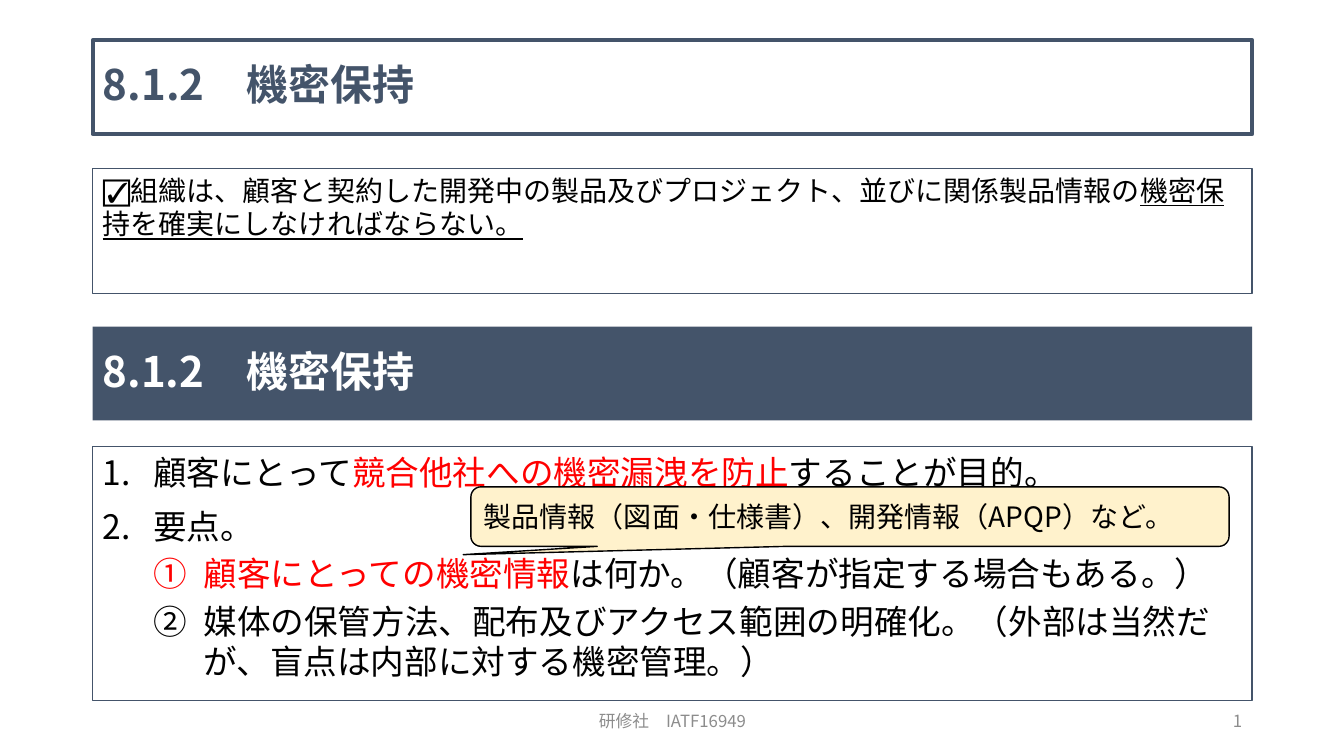
from dataclasses import dataclass
from typing import Optional

import pptx
import pptx.dml.color
import pptx.enum.shapes
import pptx.enum.text
import pptx.oxml
import pptx.oxml.ns
import pptx.util

Inches = pptx.util.Inches
Pt = pptx.util.Pt
Align = pptx.enum.text.PP_ALIGN
Anchor = pptx.enum.text.MSO_ANCHOR
Preset = pptx.enum.shapes.MSO_SHAPE


@dataclass(frozen=True)
class Theme:
    font: str = "Noto Sans CJK JP"
    navy: str = "44546A"
    white: str = "FFFFFF"
    black: str = "000000"
    red: str = "FF0000"
    cream: str = "FFF2CC"
    gray: str = "8C8C8C"
    heading: int = 30
    points: int = 24
    body: int = 20
    footer: int = 12


THEME = Theme()


@dataclass(frozen=True)
class Span:
    text: str
    color: Optional[str] = None
    underline: bool = False


@dataclass(frozen=True)
class Line:
    spans: tuple[Span, ...]
    size: int
    color: str = THEME.black
    bold: bool = False
    align: Align = Align.LEFT
    spacing: Optional[float] = None
    before: int = 0
    level: int = 0
    numbering: Optional[str] = None


@dataclass(frozen=True)
class Box:
    left: float
    top: float
    width: float
    height: float
    lines: tuple[Line, ...]
    anchor: Anchor = Anchor.MIDDLE
    fill: Optional[str] = None
    border: Optional[str] = None
    border_width: float = 1
    preset: Preset = Preset.RECTANGLE
    adjustments: tuple[float, ...] = ()


def rgb(color: str) -> pptx.dml.color.RGBColor:
    return pptx.dml.color.RGBColor.from_string(color)


def add_numbering(paragraph, line: Line) -> None:
    properties = paragraph._p.get_or_add_pPr()
    properties.set("marL", str(Inches(0.5 * (line.level + 1))))
    properties.set("indent", str(Inches(-0.5)))
    bullet = pptx.oxml.parse_xml(
        f'<a:buAutoNum {pptx.oxml.ns.nsdecls("a")} type="{line.numbering}"/>'
    )
    properties.append(bullet)


def write_line(paragraph, line: Line) -> None:
    paragraph.alignment = line.align
    paragraph.level = line.level
    paragraph.space_before = Pt(line.before)
    if line.spacing:
        paragraph.line_spacing = line.spacing
    if line.numbering:
        add_numbering(paragraph, line)
    font = paragraph.font
    font.name = THEME.font
    font.size = Pt(line.size)
    font.bold = line.bold
    font.color.rgb = rgb(line.color)
    east_asian = pptx.oxml.parse_xml(
        f'<a:ea {pptx.oxml.ns.nsdecls("a")} typeface="{THEME.font}"/>'
    )
    font._element.append(east_asian)
    for span in line.spans:
        run = paragraph.add_run()
        run.text = span.text
        if span.color:
            run.font.color.rgb = rgb(span.color)
        if span.underline:
            run.font.underline = True


def format_box(shape, box: Box) -> None:
    shape.left, shape.top = Inches(box.left), Inches(box.top)
    shape.width, shape.height = Inches(box.width), Inches(box.height)
    if box.fill:
        shape.fill.solid()
        shape.fill.fore_color.rgb = rgb(box.fill)
    else:
        shape.fill.background()
    if box.border:
        shape.line.color.rgb = rgb(box.border)
        shape.line.width = Pt(box.border_width)
    else:
        shape.line.fill.background()
    frame = shape.text_frame
    frame.word_wrap = True
    frame.auto_size = pptx.enum.text.MSO_AUTO_SIZE.NONE
    frame.vertical_anchor = box.anchor
    for index, line in enumerate(box.lines):
        write_line(frame.paragraphs[0] if index == 0 else frame.add_paragraph(), line)


def add_box(slide, box: Box) -> None:
    shape = slide.shapes.add_shape(box.preset, 0, 0, Inches(1), Inches(1))
    shape.shadow.inherit = False
    for index, value in enumerate(box.adjustments):
        shape.adjustments[index] = value
    format_box(shape, box)


def add_label(slide, box: Box) -> None:
    format_box(slide.shapes.add_textbox(0, 0, Inches(1), Inches(1)), box)


def heading(top: float, color: str, fill: str, border: Optional[str] = None) -> Box:
    line = Line((Span("8.1.2　機密保持"),), THEME.heading, color, bold=True, spacing=0.9)
    return Box(LEFT, top, WIDTH, 0.93, (line,), fill=fill, border=border, border_width=3)


def point(*spans: Span, before: int = 10) -> Line:
    return Line(spans, THEME.points, before=before, numbering="arabicPeriod")


def subpoint(*spans: Span) -> Line:
    return Line(spans, THEME.points, before=5, level=1, numbering="circleNumDbPlain")


def footer(left: float, width: float, text: str, align: Align) -> Box:
    line = Line((Span(text),), THEME.footer, THEME.gray, align=align)
    return Box(left, 6.95, width, 0.4, (line,))


LEFT, WIDTH = 0.92, 11.5

REQUIREMENT = Box(LEFT, 1.67, WIDTH, 1.24, (
    Line((
        Span("☑組織は、顧客と契約した開発中の製品及びプロジェクト、並びに関係製品情報の"),
        Span("機密保持を確実にしなければならない。", underline=True),
    ), THEME.body),
), Anchor.TOP, border=THEME.navy)

KEY_POINTS = Box(LEFT, 4.43, WIDTH, 2.52, (
    point(Span("顧客にとって"), Span("競合他社への機密漏洩を防止", THEME.red),
          Span("することが目的。"), before=0),
    point(Span("要点。")),
    subpoint(Span("顧客にとっての機密情報", THEME.red),
             Span("は何か。（顧客が指定する場合もある。）")),
    subpoint(Span("媒体の保管方法、配布及びアクセス範囲の明確化。（外部は当然だが、盲点は内部に対する機密管理。）")),
), Anchor.TOP, border=THEME.navy)

CALLOUT = Box(4.67, 4.83, 7.52, 0.59, (
    Line((Span("製品情報（図面・仕様書）、開発情報（APQP）など。"),), THEME.body),
), fill=THEME.cream, border=THEME.black,
    preset=Preset.ROUNDED_RECTANGULAR_CALLOUT, adjustments=(-0.51, 0.64, 0.17))


def main() -> None:
    presentation = pptx.Presentation()
    presentation.slide_width, presentation.slide_height = Inches(13.33), Inches(7.5)
    slide = presentation.slides.add_slide(presentation.slide_layouts[5])
    format_box(slide.shapes.title, heading(0.4, THEME.navy, THEME.white, THEME.navy))
    for box in (REQUIREMENT, heading(3.24, THEME.white, THEME.navy), KEY_POINTS, CALLOUT):
        add_box(slide, box)
    add_label(slide, footer(4.42, 4.5, "研修社　IATF16949", Align.CENTER))
    add_label(slide, footer(9.42, 3, "1", Align.RIGHT))
    presentation.save("out.pptx")


if __name__ == "__main__":
    main()
